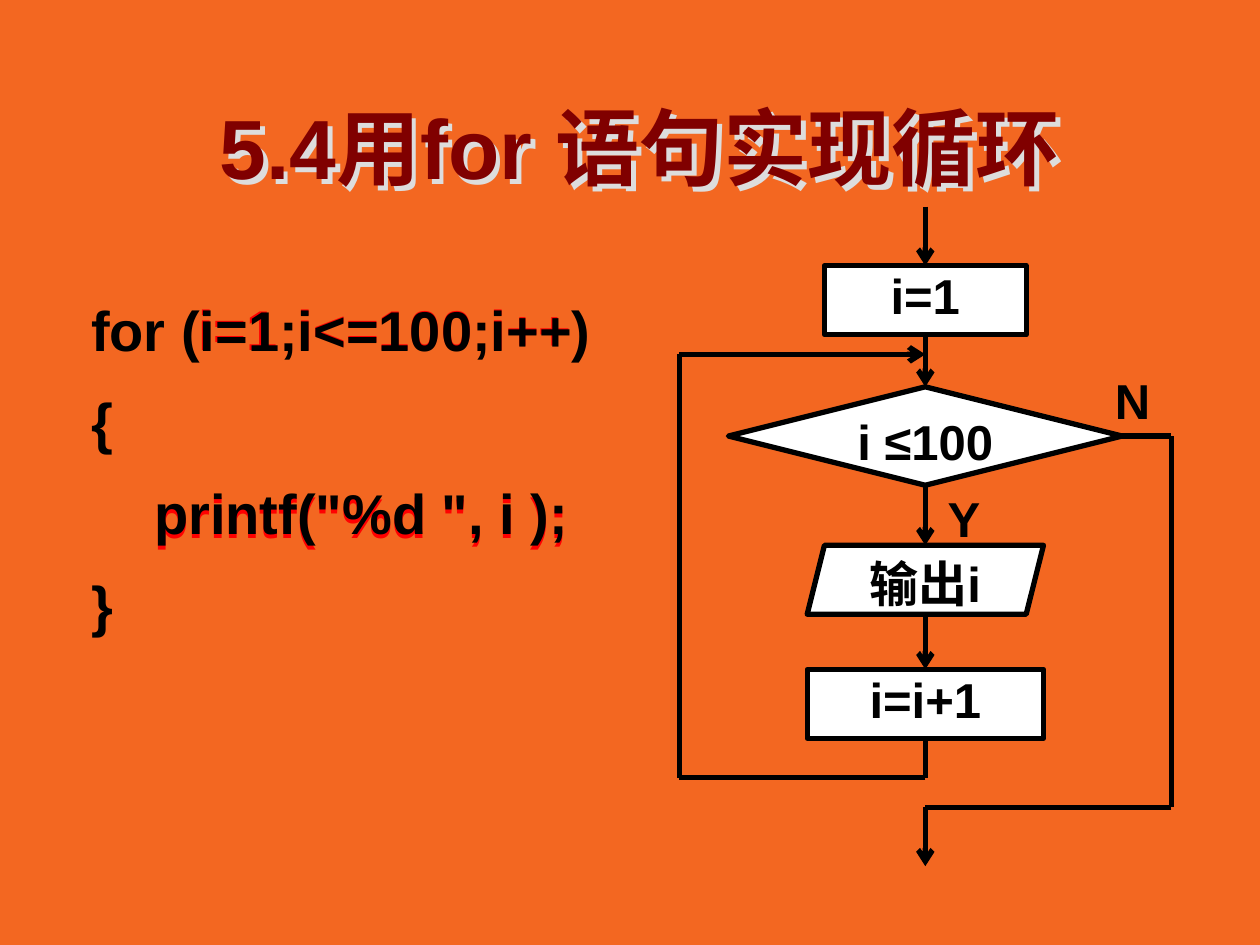
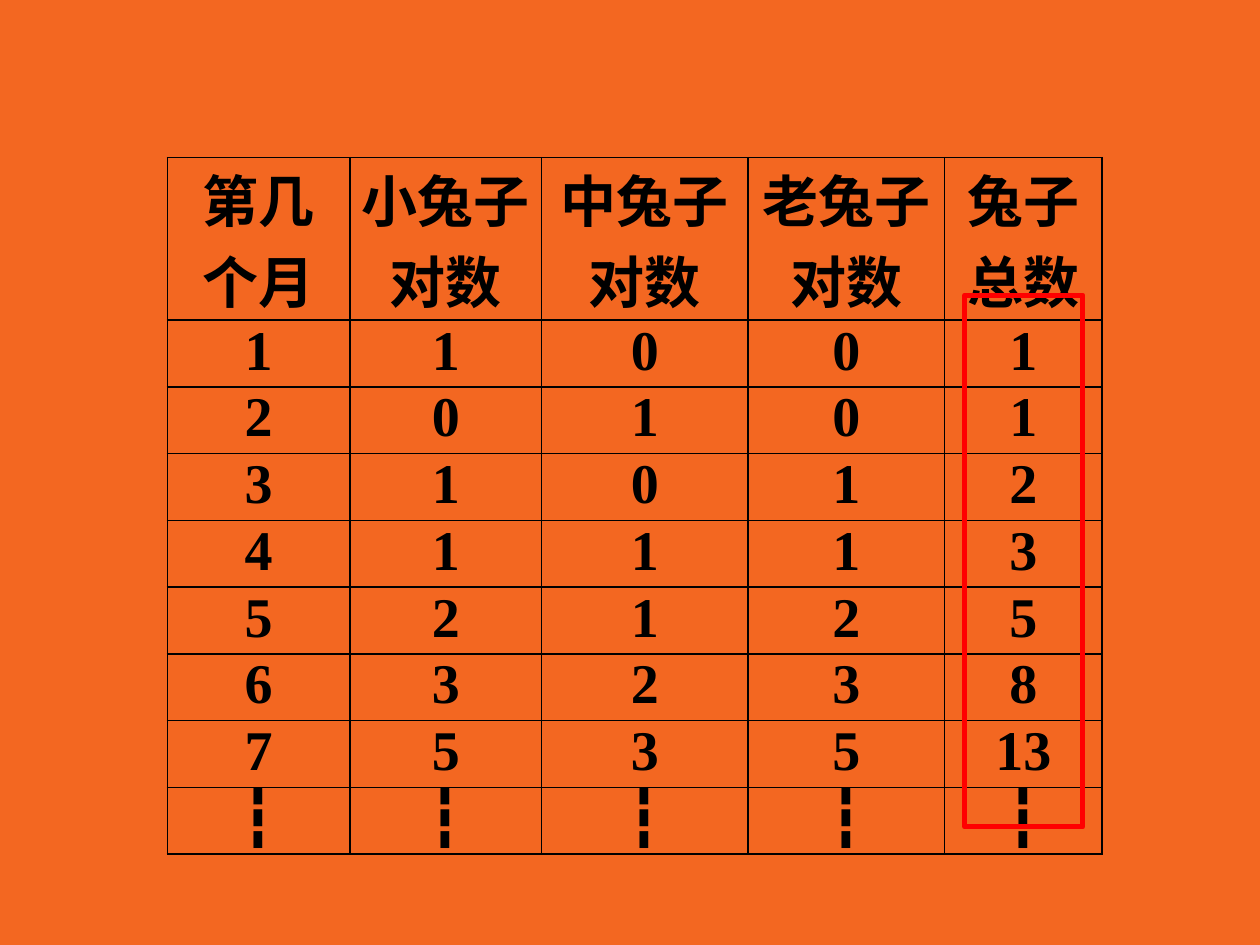
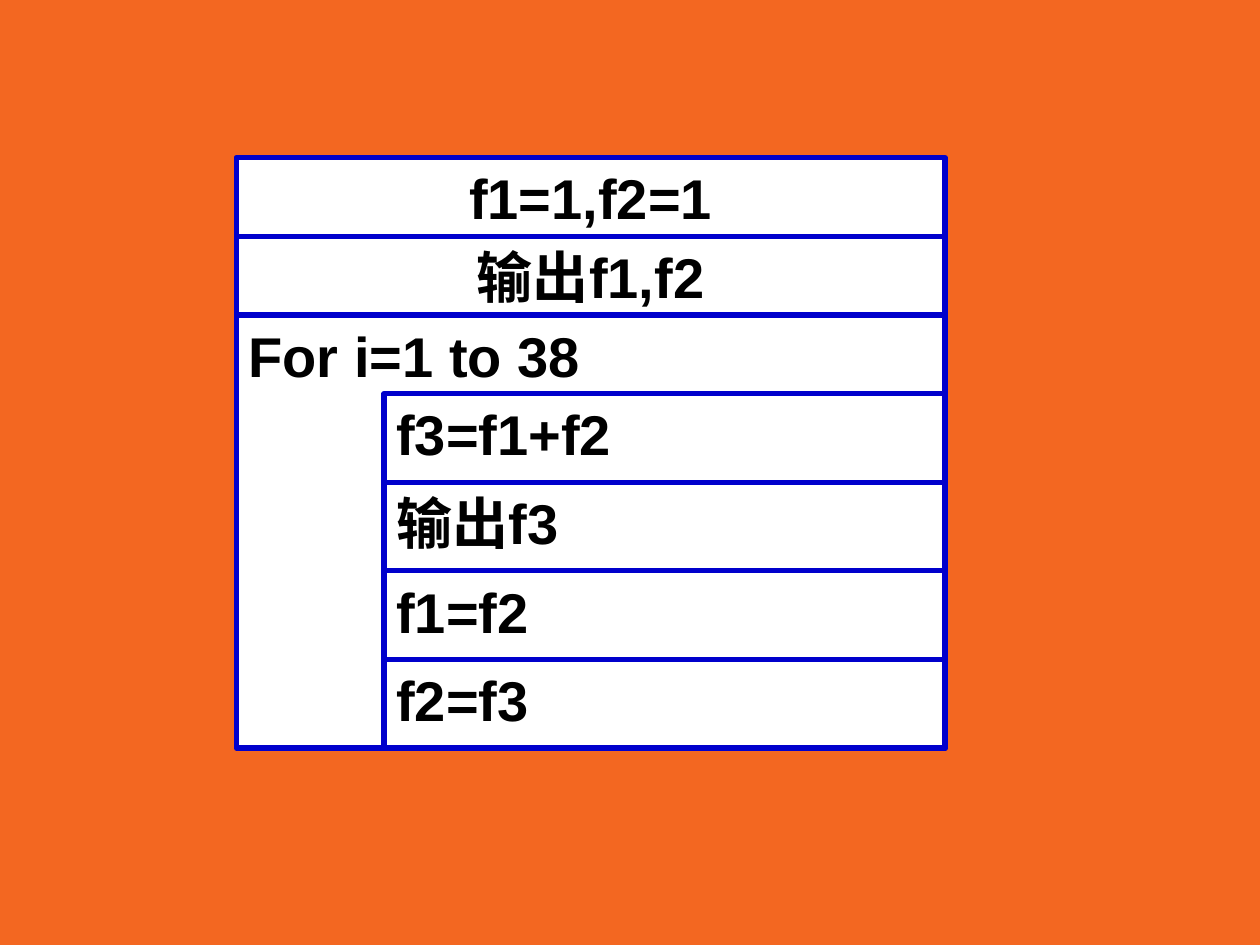
from lxml import etree
from pptx import Presentation
from pptx import util as u
from pptx.dml.color import RGBColor
from pptx.enum import shapes, text
from pptx.oxml import parse_xml
from pptx.oxml.ns import nsdecls, qn

WIDTH, HEIGHT = 10, 7.5
COLUMNS = 128  # square grid: 128 columns by 96 rows
CELL = WIDTH / COLUMNS
ORANGE, BLACK, WHITE = "F36721", "000000", "FFFFFF"
RED, MAROON, BLUE, SILVER = "FF0000", "800000", "0000CC", "DDDDDD"
SANS, SERIF = "Arial", "Times New Roman"
LEFT, CENTER = text.PP_ALIGN.LEFT, text.PP_ALIGN.CENTER
KIND = shapes.MSO_SHAPE


def color(value):
    return RGBColor.from_string(value)


def cells(count):
    """Length of a number of grid cells."""
    return u.Inches(count * CELL)


def place(origin, left, top, width, height):
    """Slide lengths of a box given in cells from an origin."""
    return [cells(n) for n in (origin[0] + left, origin[1] + top, width, height)]


def format_text(frame, size, ink=BLACK, font=SANS, align=LEFT):
    for paragraph in frame.paragraphs:
        paragraph.alignment = align
        for run in paragraph.runs:
            run.font.size = u.Pt(size)
            run.font.bold = True
            run.font.name = font
            run.font.color.rgb = color(ink)


def add_label(slide, box, words, size, ink=BLACK, align=LEFT):
    label = slide.shapes.add_textbox(*box)
    frame = label.text_frame
    frame.word_wrap = True
    frame.text = words
    format_text(frame, size, ink, align=align)
    return label


def add_block(slide, box, kind=KIND.FLOWCHART_PROCESS, words="", size=32,
              align=LEFT, fill=WHITE, line=BLACK, inset=None):
    block = slide.shapes.add_shape(kind, *box)
    block.shadow.inherit = False
    if fill:
        block.fill.solid()
        block.fill.fore_color.rgb = color(fill)
    else:
        block.fill.background()
    block.line.color.rgb = color(line)
    block.line.width = u.Pt(3)
    frame = block.text_frame
    frame.word_wrap = True
    frame.vertical_anchor = text.MSO_ANCHOR.TOP
    if inset is not None:
        frame.margin_left = frame.margin_right = inset
        frame.margin_top = frame.margin_bottom = inset
    frame.text = words
    format_text(frame, size, align=align)
    return block


def add_line(slide, origin, start, end, arrow=False, begin=None, finish=None):
    """Line between two points; begin and finish are (shape, site) joints."""
    points = [cells(origin[i] + point[i]) for point in (start, end) for i in (0, 1)]
    line = slide.shapes.add_connector(shapes.MSO_CONNECTOR.STRAIGHT, *points)
    if begin:
        line.begin_connect(*begin)
    if finish:
        line.end_connect(*finish)
    line.line.color.rgb = color(BLACK)
    line.line.width = u.Pt(3)
    if arrow:
        outline = line.line._get_or_add_ln()
        etree.SubElement(outline, qn("a:tailEnd"), type="arrow")
    etree.SubElement(line._element.spPr, qn("a:effectLst"))


def add_title(slide, words):
    title = add_label(slide, place((0, 0), 6, 9, 118, 11.7), words, 48, MAROON, CENTER)
    title.text_frame.vertical_anchor = text.MSO_ANCHOR.MIDDLE
    title._element.spPr.append(parse_xml(
        f'<a:effectLst {nsdecls("a")}><a:outerShdw dist="45000" dir="2700000" '
        f'algn="ctr" rotWithShape="0"><a:srgbClr val="{SILVER}"/>'
        '</a:outerShdw></a:effectLst>'))


def add_code(slide, origin):
    statement = 'printf("%d ", i );'

    def add_lines(left, top, width, height, words, ink):
        label = add_label(slide, place(origin, left, top, width, height), words, 32, ink)
        for paragraph in label.text_frame.paragraphs:
            paragraph.line_spacing = 1.2
            paragraph.space_before = u.Pt(6.4)
        return label

    for left, top, width, words in ((6.4, 19, 47, statement), (40.6, -0.1, 13, "i++"),
                                    (21, -0.1, 23, "i<=100"), (10.9, -0.1, 13, "i=1")):
        add_lines(left, top, width, 9, words, RED)
    program = add_lines(0, 0, 54, 40, f"for (i=1;i<=100;i++)\n{{\n{statement}\n}}", BLACK)
    body = program.text_frame.paragraphs[2]
    body._p.get_or_add_pPr().set("marL", str(u.Inches(0.5)))


def add_flowchart(slide, origin):
    axis, right = 25, 50

    def add_step(top, width, height, words, kind=KIND.FLOWCHART_PROCESS):
        box = place(origin, axis - width / 2, top, width, height)
        return add_block(slide, box, kind, words, 28, CENTER, inset=0)

    start = add_step(6, 20.5, 7, "i=1")
    test = add_step(18.3, 40, 10, "i ≤100", KIND.FLOWCHART_DECISION)
    output = add_step(34.4, 24, 7, "输出i", KIND.PARALLELOGRAM)
    output.adjustments[0] = 0.25
    increment = add_step(47, 24, 7, "i=i+1")

    for top, bottom, arrow, begin, finish in (
            (0, 6, True, None, (start, 0)),
            (13, 18.3, True, (start, 2), (test, 0)),
            (28.3, 34.4, True, (test, 2), None),
            (41.4, 47, True, None, (increment, 0)),
            (54, 58, False, (increment, 2), None),
            (61, 67, True, None, None)):
        add_line(slide, origin, (axis, top), (axis, bottom), arrow, begin, finish)

    add_line(slide, origin, (axis, 58), (0, 58))
    add_line(slide, origin, (0, 58), (0, 15))
    add_line(slide, origin, (0, 15), (axis, 15), arrow=True)
    add_line(slide, origin, (45, 23.3), (right, 23.3), begin=(test, 3))
    add_line(slide, origin, (right, 23.3), (right, 61))
    add_line(slide, origin, (right, 61), (axis, 61))

    for left, top, words in ((26, 28, "Y"), (43, 16, "N")):
        add_label(slide, place(origin, left, top, 7, 7.3), words, 28)


def set_borders(cell):
    properties = cell._tc.get_or_add_tcPr()
    for position, side in enumerate(("lnL", "lnR", "lnT", "lnB")):
        properties.insert(position, parse_xml(
            f'<a:{side} {nsdecls("a")} w="{u.Pt(1)}"><a:solidFill>'
            f'<a:srgbClr val="{BLACK}"/></a:solidFill></a:{side}>'))


def add_rabbit_table(slide, origin):
    headings = ["第几个月", "小兔子对数", "中兔子对数", "老兔子对数", "兔子总数"]
    months = [(1, 1, 0, 0, 1), (2, 0, 1, 0, 1), (3, 1, 0, 1, 2), (4, 1, 1, 1, 3),
              (5, 2, 1, 2, 5), (6, 3, 2, 3, 8), (7, 5, 3, 5, 13)]
    rows = [headings, *months, ["┇"] * len(headings)]
    frame = slide.shapes.add_table(len(rows), len(headings), *place(origin, 0, 0, 95, 68))
    table = frame.table
    table.first_row = table.horz_banding = False
    for column, width in zip(table.columns, (1.45, 1.52, 1.64, 1.56, 1.25)):
        column.width = u.Inches(width)
    for row, values in zip(table.rows, rows):
        row.height = u.Inches(0.53)
        for cell, value in zip(row.cells, values):
            cell.margin_left = cell.margin_right = u.Inches(0.07)
            cell.margin_top = cell.margin_bottom = 0
            cell.fill.background()
            set_borders(cell)
            cell.text_frame.text = str(value)
            format_text(cell.text_frame, 32, font=SERIF, align=CENTER)
    add_block(slide, place(origin, 81, 14, 12, 54), KIND.RECTANGLE, fill=None, line=RED)


def add_structure_chart(slide, origin):
    """Nested boxes: two steps, then a loop around four more."""
    width, height, step, indent = 72, 60, 8, 15
    loop_steps = ["f3=f1+f2", "输出f3", "f1=f2", "f2=f3"]
    for row, words in enumerate(("f1=1,f2=1", "输出f1,f2")):
        add_block(slide, place(origin, 0, row * step, width, step), KIND.RECTANGLE,
                  words, align=CENTER, line=BLUE)
    add_block(slide, place(origin, 0, 2 * step, width, height - 2 * step),
              KIND.RECTANGLE, "For i=1 to 38", line=BLUE)
    loop_top = 3 * step
    loop_step = (height - loop_top) / len(loop_steps)
    for row, words in enumerate(loop_steps):
        box = place(origin, indent, loop_top + row * loop_step, width - indent, loop_step)
        add_block(slide, box, words=words, line=BLUE)


def main():
    presentation = Presentation()
    presentation.slide_width = u.Inches(WIDTH)
    presentation.slide_height = u.Inches(HEIGHT)
    background = presentation.slide_master.background.fill
    background.solid()
    background.fore_color.rgb = color(ORANGE)
    blank = presentation.slide_layouts[6]
    loop_slide, rabbit_slide, structure_slide = (
        presentation.slides.add_slide(blank) for _ in range(3))

    add_code(loop_slide, (8, 28))
    add_title(loop_slide, "5.4用for 语句实现循环")
    add_flowchart(loop_slide, (69, 21))
    add_rabbit_table(rabbit_slide, (17, 16))
    add_structure_chart(structure_slide, (24, 16))
    presentation.save("out.pptx")


if __name__ == "__main__":
    main()
